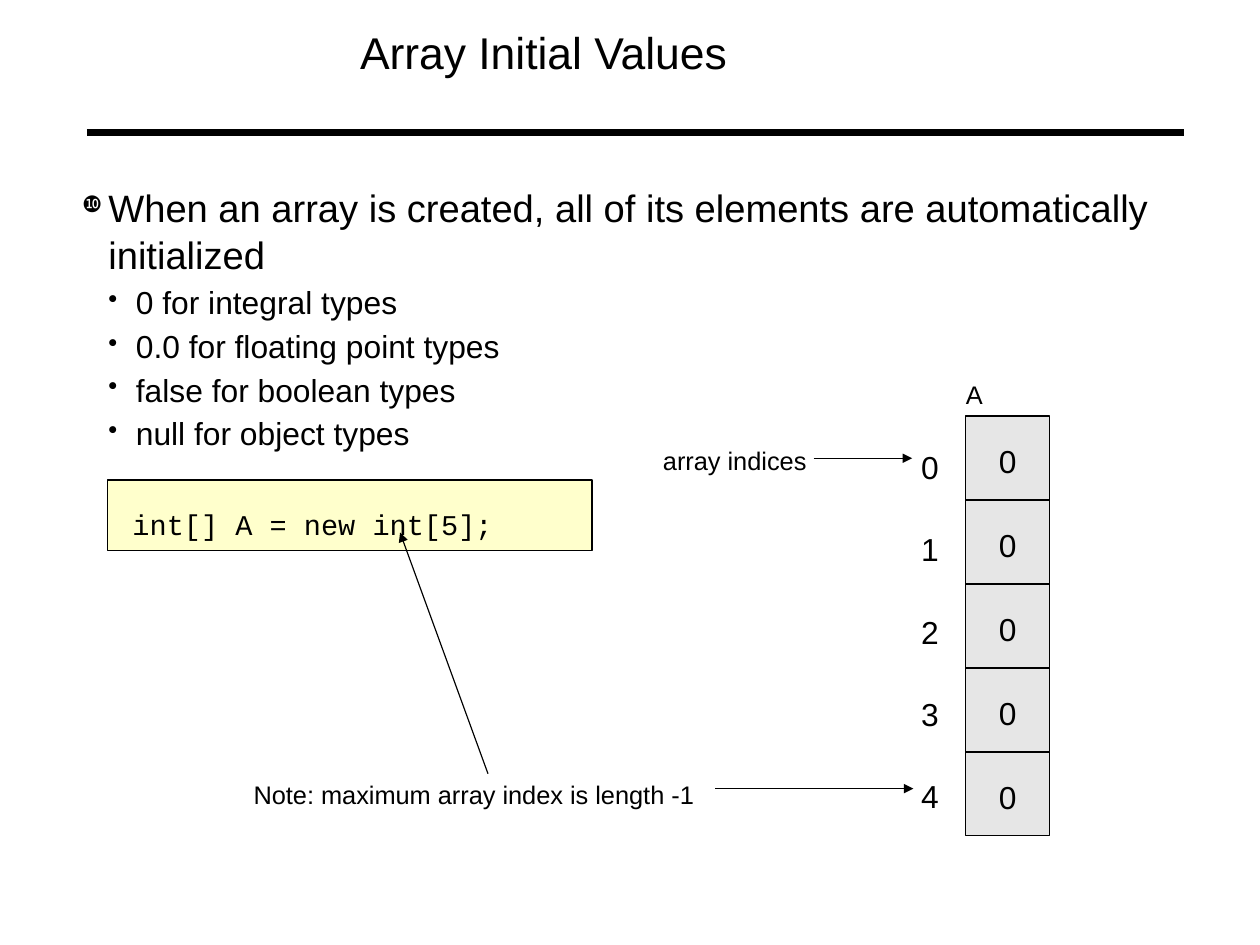
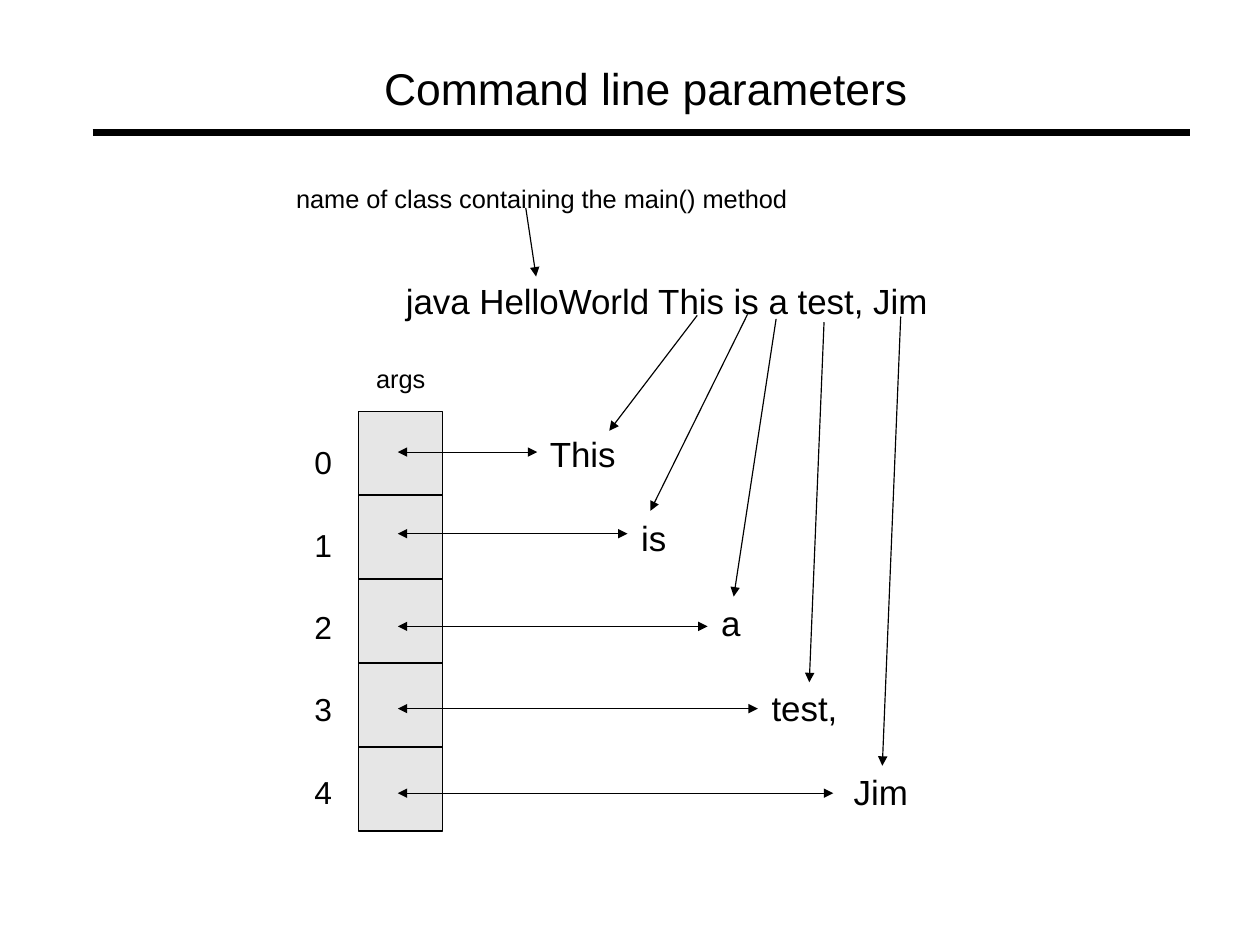
"""Builds two slides about arrays and command line parameters."""
from dataclasses import dataclass

from lxml import etree
from pptx import Presentation
from pptx import util as u
from pptx.dml import color
from pptx.enum import shapes, text
from pptx.oxml import ns


@dataclass(frozen=True)
class Theme:
    """Colours, fonts and type sizes."""
    ink: str = "000000"
    cell: str = "E6E6E6"
    note: str = "FFFFCC"
    sans: str = "Arial"
    mono: str = "Courier New"
    title: int = 28
    lead: int = 24
    word: int = 22
    body: int = 20
    code: int = 18
    small: int = 16
    thin: float = 0.75
    thick: float = 4.31


def rgb(code):
    """Return a colour from its hex code."""
    return color.RGBColor.from_string(code)


def put(obj, form):
    """Set attributes from a dict of format values."""
    for key, val in form.items():
        setattr(obj, key, val)


def add(top, tag, **attrs):
    """Append a drawing element to a parent."""
    return etree.SubElement(top, ns.qn(tag), attrs)


class Deck:
    """Holds the style and the current slide."""

    def __init__(self, wide, high):
        """Start an empty deck."""
        self.th = Theme()
        self.prs = Presentation()
        put(self.prs, {"slide_width": u.Pt(wide), "slide_height": u.Pt(high)})
        self.page = None

    def slide(self, name, x, y, wide, left):
        """Add a slide with its title and rule."""
        self.page = self.prs.slides.add_slide(self.prs.slide_layouts[6])
        self.line((left, 83.4), (left + 691.2, 83.4), self.th.thick)
        self.label(name, x, y, wide, self.th.title)

    def frame(self, shape, **form):
        """Give a text frame its wrap and insets."""
        base = {"word_wrap": True, "vertical_anchor": text.MSO_ANCHOR.TOP}
        base |= {f"margin_{side}": 0 for side in ("left", "top", "right", "bottom")}
        put(shape.text_frame, base | form)
        return shape.text_frame

    def say(self, para, words, size, font=None, **form):
        """Put one styled run in a paragraph."""
        run = para.add_run()
        run.text = words
        put(run.font, {"size": u.Pt(size), "name": font or self.th.sans})
        run.font.color.rgb = rgb(self.th.ink)
        put(para, form)

    def area(self, x, y, wide, high):
        """Add an empty text box."""
        return self.page.shapes.add_textbox(*map(u.Pt, (x, y, wide, high)))

    def label(self, words, x, y, wide, size):
        """Add a line of text."""
        box = self.area(x, y, wide, round(size * 1.2, 2))
        self.say(self.frame(box).paragraphs[0], words, size)

    def box(self, x, y, wide, high, fill):
        """Add an outlined rectangle."""
        box = self.page.shapes.add_shape(
            shapes.MSO_SHAPE.RECTANGLE, *map(u.Pt, (x, y, wide, high)))
        box.shadow.inherit = False
        box.fill.solid()
        box.fill.fore_color.rgb = rgb(fill)
        box.line.color.rgb = rgb(self.th.ink)
        box.line.width = u.Pt(self.th.thin)
        return box

    def code(self, words, x, y, wide, high):
        """Add a box of code."""
        box = self.box(x, y, wide, high, self.th.note)
        tf = self.frame(box, margin_left=u.Pt(15.8), margin_top=u.Pt(17))
        self.say(tf.paragraphs[0], words, self.th.code, self.th.mono,
                 alignment=text.PP_ALIGN.LEFT)

    def array(self, x, y, near, first, vals):
        """Add a column of cells with their indices."""
        side = 52.9
        for i, val in enumerate(vals):
            box = self.box(x, y + i * side, side, side, self.th.cell)
            if val:
                tf = self.frame(box, vertical_anchor=text.MSO_ANCHOR.MIDDLE,
                                margin_top=u.Pt(3))
                self.say(tf.paragraphs[0], val, self.th.body,
                         alignment=text.PP_ALIGN.CENTER)
            self.label(str(i), near, first + i * 51.85, 24, self.th.body)

    def list(self, items, x, y, wide, high):
        """Add a bulleted list of two levels."""
        looks = (("❿", 59, 16.5, -16.5, self.th.lead),
                 ("•", 84, 33.8, -17.3, self.th.body))
        tf = self.frame(self.area(x, y, wide, high))
        for i, (level, words) in enumerate(items):
            mark, part, left, hang, size = looks[level]
            para = tf.add_paragraph() if i else tf.paragraphs[0]
            prop = para._p.get_or_add_pPr()
            for key, val in (("marL", left), ("indent", hang)):
                prop.set(key, str(int(u.Pt(val))))
            add(add(prop, "a:buClr"), "a:srgbClr", val=self.th.ink)
            add(prop, "a:buSzPct", val=str(part * 1000))
            add(prop, "a:buChar", char=mark)
            self.say(para, words, size, level=level, line_spacing=1.04,
                     space_before=u.Pt(2.6 if i else 0))

    def line(self, start, end, width=None, ends=()):
        """Add a straight line with any arrowheads."""
        link = self.page.shapes.add_connector(
            shapes.MSO_CONNECTOR.STRAIGHT, *map(u.Pt, (*start, *end)))
        link.line.color.rgb = rgb(self.th.ink)
        link.line.width = u.Pt(width or self.th.thin)
        prop = link._element.spPr
        for tag in ends:
            add(prop.find(ns.qn("a:ln")), f"a:{tag}End", type="triangle")
        add(prop, "a:effectLst")

    def arrow(self, start, end, both=False):
        """Add an arrow with one head or two."""
        self.line(start, end, ends=("head", "tail") if both else ("tail",))


def start(deck):
    """Draw the slide on initial values."""
    small = deck.th.small
    deck.slide("Array Initial Values", 226.8, 15.8, 316, 54.7)
    deck.list((
        (0, "When an array is created, all of its elements are automatically initialized"),
        (1, "0 for integral types"),
        (1, "0.0 for floating point types"),
        (1, "false for boolean types"),
        (1, "null for object types"),
    ), 51.8, 114.9, 682.6, 164)
    deck.code("int[] A = new int[5];", 67.7, 302.4, 305.3, 44.6)
    deck.array(608.4, 262.1, 580.3, 282, ["0"] * 5)
    for words, x, y, wide in (
        ("A", 608.4, 238.8, 43),
        ("array indices", 417.6, 280.5, 123),
        ("Note: maximum array index is length -1", 159.8, 490.8, 310),
    ):
        deck.label(words, x, y, wide, small)
    for tail, tip in (
        ((512.6, 288.7), (574.6, 288.7)),
        ((450.7, 496.8), (575.3, 496.8)),
        ((307.4, 487.4), (252, 335.5)),
    ):
        deck.arrow(tail, tip)


def params(deck):
    """Draw the slide on command line parameters."""
    small, word = deck.th.small, deck.th.word
    deck.slide("Command line parameters", 241.9, 38.2, 337, 58.3)
    deck.label("name of class containing the main() method", 186.5, 115.6, 343, small)
    deck.arrow((331.2, 131), (337.7, 174.2))
    deck.label("java HelloWorld This is a test, Jim", 255.6, 176.1, 362, word)
    deck.label("args", 236.9, 228.7, 64, small)
    deck.array(226.1, 259, 198, 279.1, [""] * 5)
    for words, x, y, tail, tip, row, reach in (
        ("This", 346.3, 272.6, (439.2, 198.7), (383.8, 271.4), 284.8, 338.4),
        ("is", 403.9, 325.2, (470.9, 198), (409.7, 321.8), 336.2, 395.3),
        ("a", 454.3, 379.2, (488.9, 200.9), (462.2, 375.8), 394.6, 445.7),
        ("test,", 486, 432.4, (519.1, 203), (509.8, 429.8), 446.4, 477.4),
        ("Jim", 537.8, 485.7, (567.4, 199.4), (555.8, 482.4), 499.7, 524.9),
    ):
        deck.label(words, x, y, 70, word)
        deck.arrow(tail, tip)
        deck.arrow((250.6, row), (reach, row), True)


def main():
    """Build and save the deck."""
    deck = Deck(793.7, 595.3)
    start(deck)
    params(deck)
    deck.prs.save("out.pptx")


if __name__ == "__main__":
    main()
